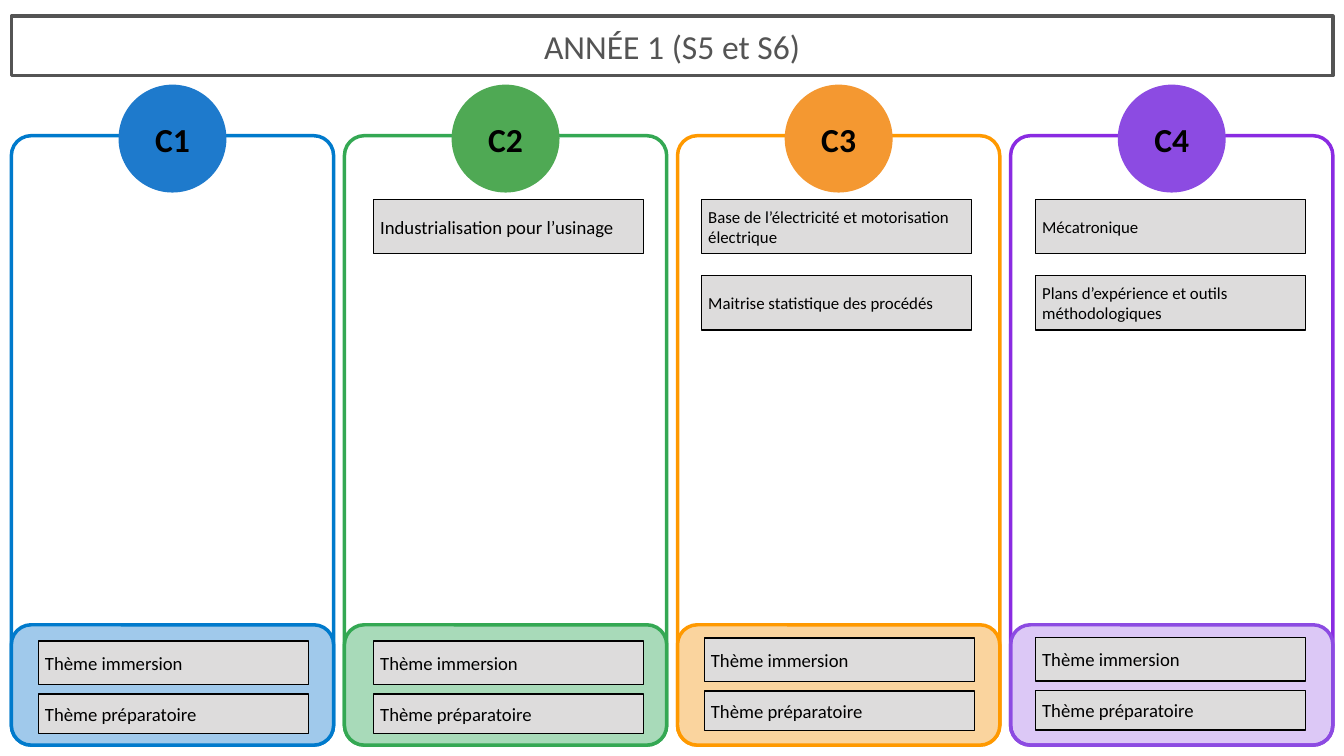
import pptx
import pptx.util
import pptx.dml.color
import pptx.enum.shapes
import pptx.enum.text
import pptx.oxml.ns
import lxml.etree

Cm, Pt = pptx.util.Cm, pptx.util.Pt
RGB = pptx.dml.color.RGBColor
KIND = pptx.enum.shapes.MSO_SHAPE
ALIGN = pptx.enum.text.PP_ALIGN
MID = pptx.enum.text.MSO_ANCHOR.MIDDLE
NOFIT = pptx.enum.text.MSO_AUTO_SIZE.NONE

BLACK = RGB(0x00, 0x00, 0x00)
SLATE = RGB(0x54, 0x54, 0x54)
GREY = RGB(0xDD, 0xDC, 0xDC)
BLUE, SKY, PALE = RGB(0x00, 0x7A, 0xCC), RGB(0x1E, 0x7A, 0xCC), RGB(0xA0, 0xC9, 0xEB)
GREEN, LEAF, MINT = RGB(0x34, 0xA8, 0x53), RGB(0x4F, 0xA9, 0x54), RGB(0xA8, 0xDA, 0xB9)
GOLD, AMBER, PEACH = RGB(0xFF, 0x99, 0x00), RGB(0xF4, 0x98, 0x31), RGB(0xFA, 0xD4, 0x9E)
VIOLET, PLUM = RGB(0x8A, 0x2B, 0xE2), RGB(0x8C, 0x4B, 0xE2)

deck = pptx.Presentation()
deck.slide_width, deck.slide_height = Cm(50.8), Cm(28.58)
slide = deck.slides.add_slide(deck.slide_layouts[5])


def add(kind, x, y, w, h, fill, edge, width):
    """Add a shape, in cm, without shadow."""
    shape = slide.shapes.add_shape(kind, Cm(x), Cm(y), Cm(w), Cm(h))
    shape.shadow.inherit = False
    if fill is None:
        shape.fill.background()
    else:
        shape.fill.solid()
        shape.fill.fore_color.rgb = fill
    shape.line.color.rgb = edge
    shape.line.width = Pt(width)
    return shape


def write(shape, text, size, color=BLACK, bold=False, align=ALIGN.LEFT, **frame):
    """Put one formatted paragraph in a shape."""
    box = shape.text_frame
    look = {"word_wrap": True, "auto_size": NOFIT, "vertical_anchor": MID, **frame}
    for name, value in look.items():
        setattr(box, name, value)
    para = box.paragraphs[0]
    para.text, para.alignment = text, align
    for name, value in {"name": "Calibri", "size": Pt(size), "bold": bold}.items():
        setattr(para.font, name, value)
    para.font.color.rgb = color


# Year banner
title = slide.shapes.title
place = {"left": 0.43, "top": 0.61, "width": 49.95, "height": 2.25}
for name, value in place.items():
    setattr(title, name, Cm(value))
title.line.color.rgb = SLATE
title.line.width = Pt(3.75)
write(title, "ANNÉE 1 (S5 et S6)", 36, SLATE, align=ALIGN.CENTER)

# Columns: name, edge, badge, theme edge, theme fill, theme x, theme y,
# course x, course size, courses
cols = [
    ("C1", BLUE, SKY, BLUE, PALE, 1.45, 24.23, 1.45, 20, []),
    ("C2", GREEN, LEAF, GREEN, MINT, 14.12, 24.23, 14.12, 20,
     ["Industrialisation pour l’usinage"]),
    ("C3", GOLD, AMBER, GOLD, PEACH, 26.62, 24.12, 26.52, 18,
     ["Base de l’électricité et motorisation électrique",
      "Maitrise statistique des procédés"]),
    ("C4", VIOLET, PLUM, PLUM, PLUM, 39.14, 24.1, 39.14, 18,
     ["Mécatronique", "Plans d’expérience et outils méthodologiques"]),
]
WIDE, STEP, ROUND, DISC, BOX = 12.18, 12.59, 0.75, 4, 10.21
flat = {"margin_left": 0, "margin_right": 0, "margin_top": 0, "margin_bottom": 0}

for i, (name, edge, badge, rim, tint, tx, ty, cx, size, courses) in enumerate(cols):
    x = 0.43 + i * STEP

    # Frame and badge
    frame = add(KIND.ROUNDED_RECTANGLE, x, 5.13, WIDE, 23.04, None, edge, 3.75)
    frame.adjustments[0] = ROUND / WIDE
    disc = add(KIND.OVAL, x + (WIDE - DISC) / 2, 3.24, DISC, DISC, badge, badge, 2.25)
    write(disc, name, 36, bold=True, align=ALIGN.CENTER, **flat)

    # Theme panel
    panel = add(KIND.ROUNDED_RECTANGLE, x, 23.62, WIDE, 4.55, tint, rim, 3.75)
    panel.adjustments[0] = ROUND / 4.55
    if tint == PLUM:
        qn = pptx.oxml.ns.qn
        color = panel.fill._xPr.find(qn("a:solidFill")).find(qn("a:srgbClr"))
        lxml.etree.SubElement(color, qn("a:alpha"), val="30000")
    for text, drop, high in [("Thème immersion", 0, 1.64), ("Thème préparatoire", 2.01, 1.49)]:
        write(add(KIND.RECTANGLE, tx, ty + drop, BOX, high, GREY, BLACK, 1.5), text, 20)

    # Courses
    for row, text in enumerate(courses):
        card = add(KIND.RECTANGLE, cx, 7.54 + row * 2.88, BOX, 2.05, GREY, BLACK, 1.5)
        write(card, text, size)

deck.save("out.pptx")
